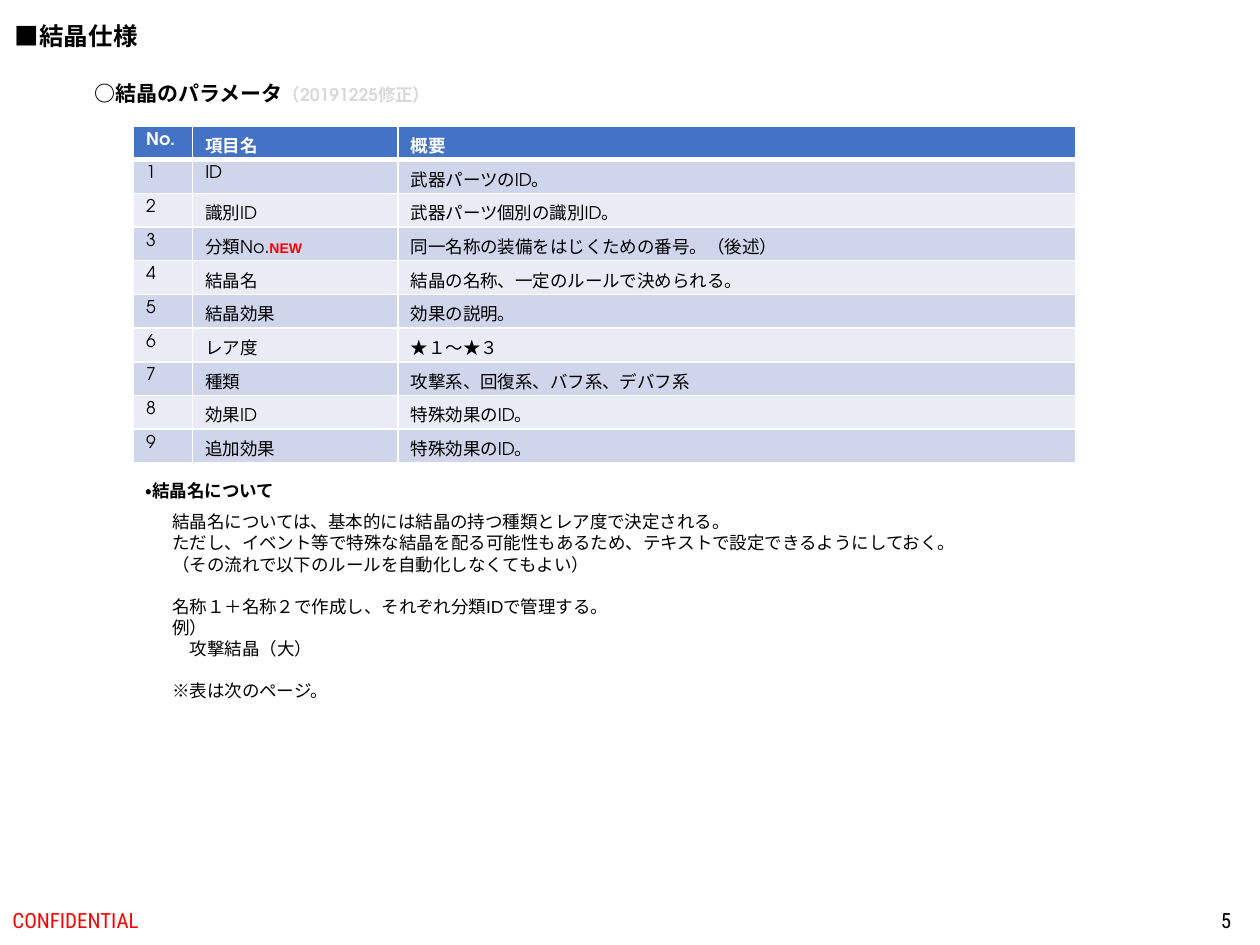
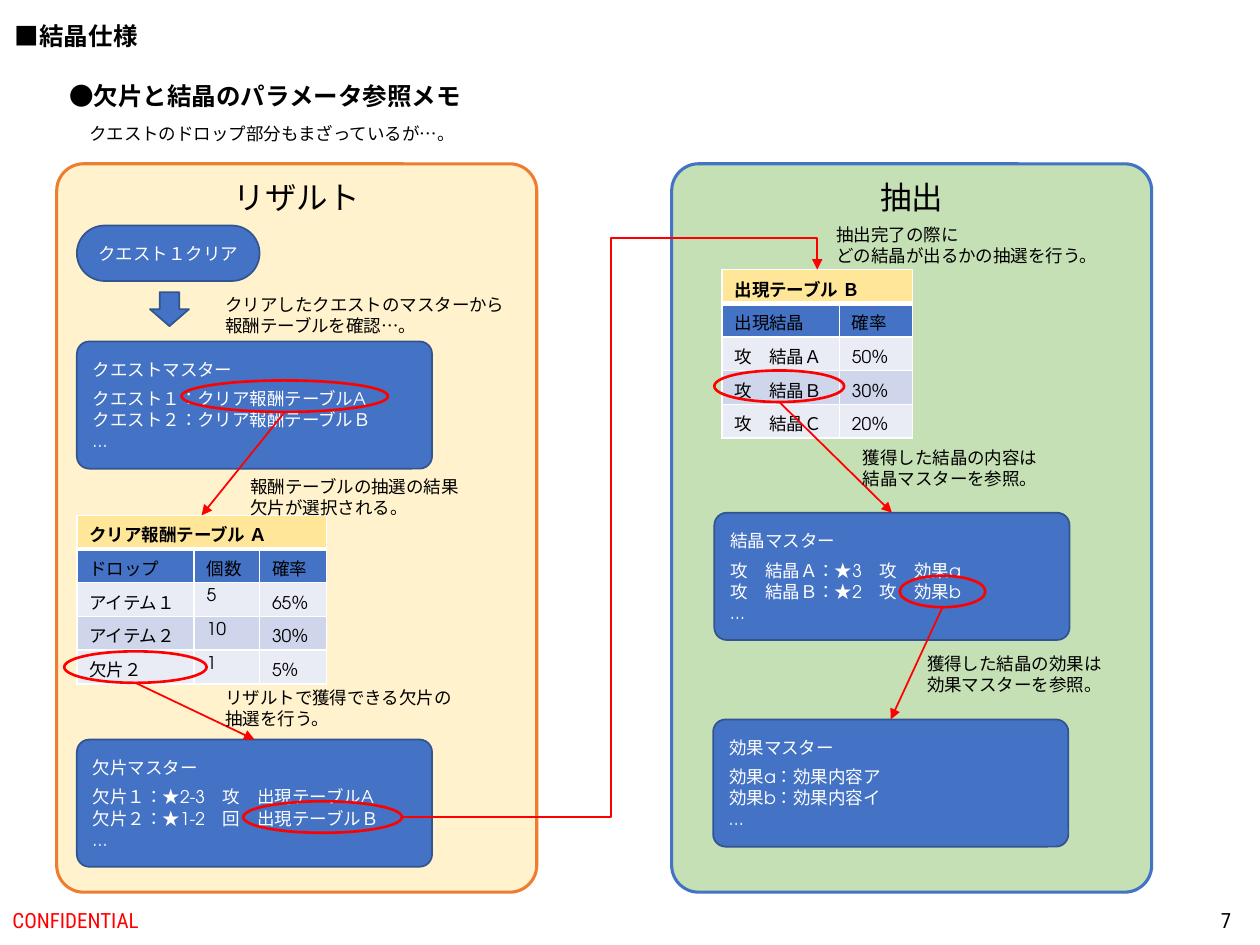
from dataclasses import dataclass, replace

from lxml.etree import SubElement
from pptx import Presentation
from pptx.dml.color import RGBColor
from pptx.enum.lang import MSO_LANGUAGE_ID as Language
from pptx.enum.shapes import MSO_CONNECTOR as Connector, MSO_SHAPE as Shape
from pptx.enum.text import MSO_ANCHOR as Anchor, PP_ALIGN as Align
from pptx.oxml.ns import qn
from pptx.util import Pt

TOP, BOTTOM, RIGHT = 0, 2, 3


@dataclass(frozen=True)
class Theme:
    black: str = "000000"
    white: str = "FFFFFF"
    red: str = "FF0000"
    pale_gray: str = "D9D9D9"
    blue: str = "4472C4"
    dark_blue: str = "325491"
    band_dark: str = "CFD5EA"
    band_light: str = "E9EBF5"
    yellow: str = "FFE699"
    cream: str = "FFF2CC"
    orange: str = "ED7D31"
    green: str = "C5E0B4"
    plain: str = "Arial"
    round: str = "TeX Gyre Adventor"
    narrow: str = "Roboto Condensed"
    tiny: int = 8
    body: int = 10
    heading: int = 12
    title: int = 14
    panel: int = 18
    row_height: float = 19.2
    line_height: int = 12


THEME = Theme()


@dataclass(frozen=True)
class Style:
    size: int = THEME.body
    color: str = THEME.black
    bold: bool = False
    font: str = THEME.round


@dataclass(frozen=True)
class Line:
    text: str
    space: float = 0
    indent: float = 0


BODY = Style()
BOLD = Style(bold=True)
ON_BLUE = Style(color=THEME.white)
PLAIN = Style(font=THEME.plain)
TITLE = Style(THEME.title, bold=True)
FOOTER = Style(THEME.heading, font=THEME.narrow)


def rgb(color):
    return RGBColor.from_string(color)


def add_run(paragraph, text, style):
    run = paragraph.add_run()
    run.text = text
    font = run.font
    font.size, font.bold, font.name = Pt(style.size), style.bold, style.font
    font.color.rgb = rgb(style.color)
    font.language_id = Language.JAPANESE


def write_lines(frame, lines, style, align=Align.LEFT):
    for index, line in enumerate(lines):
        paragraph = frame.add_paragraph() if index else frame.paragraphs[0]
        line = line if isinstance(line, Line) else Line(line)
        if line.space:
            paragraph.space_before = Pt(line.space)
        if line.indent:
            paragraph._p.get_or_add_pPr().set("marL", str(Pt(line.indent)))
        paragraph.alignment = align
        add_run(paragraph, line.text, style)


def add_text(slide, box, lines, style, align=Align.LEFT, wrap=False, anchor=Anchor.TOP):
    frame = slide.shapes.add_textbox(*map(Pt, box)).text_frame
    frame.word_wrap = wrap
    frame.vertical_anchor = anchor
    write_lines(frame, lines, style, align)
    return frame


def add_frame(slide, kind, box, fill, line, line_width, adjustment=None):
    shape = slide.shapes.add_shape(kind, *map(Pt, box))
    shape.shadow.inherit = False
    if fill:
        shape.fill.solid()
        shape.fill.fore_color.rgb = rgb(fill)
    else:
        shape.fill.background()
    shape.line.color.rgb = rgb(line)
    shape.line.width = Pt(line_width)
    if adjustment is not None:
        shape.adjustments[0] = adjustment
    return shape


def add_panel(slide, left, heading, fill, line):
    panel = add_frame(slide, Shape.ROUNDED_RECTANGLE, (left, 93.6, 274.3, 416.2),
                      fill, line, 1.75, 0.056)
    panel.text_frame.vertical_anchor = Anchor.TOP
    write_lines(panel.text_frame, [heading], Style(THEME.panel), Align.CENTER)


def add_blue(slide, kind, box, lines=(), adjustment=None, align=Align.LEFT):
    shape = add_frame(slide, kind, box, THEME.blue, THEME.dark_blue, 1, adjustment)
    shape.text_frame.vertical_anchor = Anchor.MIDDLE
    write_lines(shape.text_frame, lines, ON_BLUE, align)
    return shape


def add_master_card(slide, left, top, heading, first, second):
    lines = [heading, Line(first, 5), second, "…"]
    return add_blue(slide, Shape.ROUNDED_RECTANGLE, (left, top, 203, 72.7), lines, 0.098)


def add_ring(slide, left, top, width):
    return add_frame(slide, Shape.OVAL, (left, top, width, 18), None, THEME.red, 1.5)


def add_arrow(slide, ring, side, target, kind=Connector.STRAIGHT):
    connector = slide.shapes.add_connector(kind, 0, 0, 0, 0)
    connector.begin_connect(ring, side)
    connector.end_connect(target, TOP)
    start = next(connector._element.iter(qn("a:stCxn")))
    start.set("idx", str(side * 2))
    connector.line.color.rgb = rgb(THEME.red)
    connector.line.width = Pt(1)
    properties = connector._element.spPr
    SubElement(properties.find(qn("a:ln")), qn("a:tailEnd"), type="triangle")
    SubElement(properties, qn("a:effectLst"))
    return connector


def add_detour(slide, ring, target):
    connector = add_arrow(slide, ring, RIGHT, target, Connector.ELBOW)
    geometry = connector._element.spPr.find(qn("a:prstGeom"))
    geometry.set("prst", "bentConnector4")
    guides = geometry.find(qn("a:avLst"))
    for name, value in (("adj1", 50400), ("adj2", 105800)):
        SubElement(guides, qn("a:gd"), name=name, fmla=f"val {value}")


def set_borders(cell, top, bottom):
    properties = cell._tc.get_or_add_tcPr()
    for side, width in (("L", 1), ("R", 1), ("T", top), ("B", bottom)):
        border = SubElement(properties, qn(f"a:ln{side}"), w=str(Pt(width)))
        fill = SubElement(border, qn("a:solidFill"))
        SubElement(fill, qn("a:srgbClr"), val=THEME.white)


def add_grid(slide, left, top, widths, rows, head_fills, head_style):
    graphic = slide.shapes.add_table(len(rows), len(widths), Pt(left), Pt(top),
                                     Pt(sum(widths)), Pt(THEME.row_height * len(rows)))
    table = graphic.table
    table.first_row = table.horz_banding = False
    for column, width in zip(table.columns, widths):
        column.width = Pt(width)
    for row_index, texts in enumerate(rows):
        table.rows[row_index].height = Pt(THEME.row_height)
        if row_index < len(head_fills):
            fill = head_fills[row_index]
        else:
            fill = THEME.band_dark if row_index % 2 else THEME.band_light
        for column_index in range(len(widths)):
            cell = table.cell(row_index, column_index)
            set_borders(cell, 3 if row_index == 1 else 1, 3 if row_index == 0 else 1)
            cell.fill.solid()
            cell.fill.fore_color.rgb = rgb(fill)
            if column_index < len(texts):
                add_run(cell.text_frame.paragraphs[0], texts[column_index],
                        BODY if row_index else head_style)
        if len(texts) < len(widths):
            table.cell(row_index, 0).merge(table.cell(row_index, len(widths) - 1))
    return graphic


def add_lottery_table(slide, left, top, widths, rows):
    return add_grid(slide, left, top, widths, rows, [THEME.yellow, THEME.blue], BOLD)


def add_page(presentation, number):
    slide = presentation.slides.add_slide(presentation.slide_layouts[6])
    return slide, number


def add_chrome(slide, number):
    add_text(slide, (1.4, 8.6, 85, 24.5), ["■結晶仕様"], replace(TITLE, font=THEME.plain))
    add_text(slide, (0, 511.2, 243.4, 28.8), ["CONFIDENTIAL"],
             replace(FOOTER, color=THEME.red), wrap=True, anchor=Anchor.MIDDLE)
    add_text(slide, (548.6, 511.2, 162, 28.8), [number], FOOTER,
             Align.RIGHT, wrap=True, anchor=Anchor.MIDDLE)


def build_parameters(slide):
    add_chrome(slide, "5")
    heading = add_text(slide, (46.8, 42.5, 213.8, 21.6), ["○結晶のパラメータ"],
                       Style(THEME.heading, bold=True))
    add_run(heading.paragraphs[0], "（20191225修正）", replace(BOLD, color=THEME.pale_gray))

    items = [
        ("ID", "武器パーツのID。"),
        ("識別ID", "武器パーツ個別の識別ID。"),
        ("分類No.", "同一名称の装備をはじくための番号。（後述）"),
        ("結晶名", "結晶の名称、一定のルールで決められる。"),
        ("結晶効果", "効果の説明。"),
        ("レア度", "★１～★３"),
        ("種類", "攻撃系、回復系、バフ系、デバフ系"),
        ("効果ID", "特殊効果のID。"),
        ("追加効果", "特殊効果のID。"),
    ]
    rows = [("No.", "項目名", "概要")]
    rows += [(str(number), *item) for number, item in enumerate(items, 1)]
    graphic = add_grid(slide, 76.3, 72, [33.8, 117.4, 387.4], rows, [THEME.blue],
                       replace(BOLD, color=THEME.white))
    category = graphic.table.cell(3, 1).text_frame.paragraphs[0]
    add_run(category, "NEW", Style(THEME.tiny, THEME.red, True, THEME.plain))

    add_text(slide, (76.3, 270.7, 95, 19.4), ["・結晶名について"], BOLD)
    add_text(slide, (91.4, 288.7, 468.7, 116.6), [
        "結晶名については、基本的には結晶の持つ種類とレア度で決定される。",
        "ただし、イベント等で特殊な結晶を配る可能性もあるため、テキストで設定できるようにしておく。",
        "（その流れで以下のルールを自動化しなくてもよい）",
        Line("名称１＋名称２で作成し、それぞれ分類IDで管理する。", space=THEME.line_height),
        "例）",
        Line("攻撃結晶（大）", indent=THEME.body),
        Line("※表は次のページ。", space=THEME.line_height),
    ], PLAIN)


def build_reference_memo(slide):
    add_panel(slide, 383.8, "抽出", THEME.green, THEME.blue)
    add_panel(slide, 32.4, "リザルト", THEME.cream, THEME.orange)
    add_chrome(slide, "7")
    add_text(slide, (32.4, 42.5, 240.5, 24.5), ["●欠片と結晶のパラメータ参照メモ"], TITLE)
    add_text(slide, (43.9, 67, 226.8, 19.4), ["クエストのドロップ部分もまざっているが…。"], BODY)

    add_blue(slide, Shape.ROUNDED_RECTANGLE, (43.9, 128.9, 104.4, 31.7),
             ["クエスト１クリア"], 0.5, Align.CENTER)
    add_blue(slide, Shape.DOWN_ARROW, (85.7, 167, 22.3, 19.4))
    add_master_card(slide, 43.9, 195.1, "クエストマスター",
                    "クエスト１：クリア報酬テーブルA", "クエスト２：クリア報酬テーブルＢ")
    shard_card = add_master_card(slide, 43.9, 422.6, "欠片マスター",
                                 "欠片１：★2-3　攻　出現テーブルA",
                                 "欠片２：★1-2　回　出現テーブルＢ")
    crystal_card = add_master_card(slide, 408.2, 293, "結晶マスター",
                                   "攻　結晶Ａ：★3　攻　効果a", "攻　結晶Ｂ：★2　攻　効果b")
    effect_card = add_master_card(slide, 407.5, 411.1, "効果マスター",
                                  "効果a：効果内容ア", "効果b：効果内容イ")

    reward_table = add_lottery_table(slide, 43.9, 294.5, [67, 37.4, 38.2], [
        ("クリア報酬テーブル Ａ",),
        ("ドロップ", "個数", "確率"),
        ("アイテム１", "5", "65％"),
        ("アイテム２", "10", "30％"),
        ("欠片２", "1", "5％"),
    ])
    crystal_table = add_lottery_table(slide, 412.6, 154.1, [67, 41.8], [
        ("出現テーブル Ｂ",),
        ("出現結晶", "確率"),
        ("攻　結晶Ａ", "50％"),
        ("攻　結晶Ｂ", "30％"),
        ("攻　結晶Ｃ", "20％"),
    ])

    for left, top, width, target in (
        (103.7, 217.4, 118.1, reward_table),
        (36.7, 372.2, 81.4, shard_card),
        (408.2, 211.7, 74.2, crystal_card),
        (514.1, 329, 49, effect_card),
    ):
        add_arrow(slide, add_ring(slide, left, top, width), BOTTOM, target)
    add_detour(slide, add_ring(slide, 139, 457.9, 90.7), crystal_table)

    for left, top, width, lines in (
        (121.7, 164.2, 176.4, ["クリアしたクエストのマスターから", "報酬テーブルを確認…。"]),
        (136.1, 268.6, 135.4, ["報酬テーブルの抽選の結果", "欠片が選択される。"]),
        (121.7, 388.8, 146.2, ["リザルトで獲得できる欠片の", "抽選を行う。"]),
        (470.9, 124.6, 166.3, ["抽出完了の際に", "どの結晶が出るかの抽選を行う。"]),
        (486, 252, 115.2, ["獲得した結晶の内容は", "結晶マスターを参照。"]),
        (522.7, 369.4, 115.2, ["獲得した結晶の効果は", "効果マスターを参照。"]),
    ):
        add_text(slide, (left, top, width, 31.7), lines, BODY)


def main():
    presentation = Presentation()
    presentation.slide_width, presentation.slide_height = Pt(720), Pt(540)
    blank = presentation.slide_layouts[6]
    for build in (build_parameters, build_reference_memo):
        build(presentation.slides.add_slide(blank))
    presentation.save("out.pptx")


if __name__ == "__main__":
    main()
